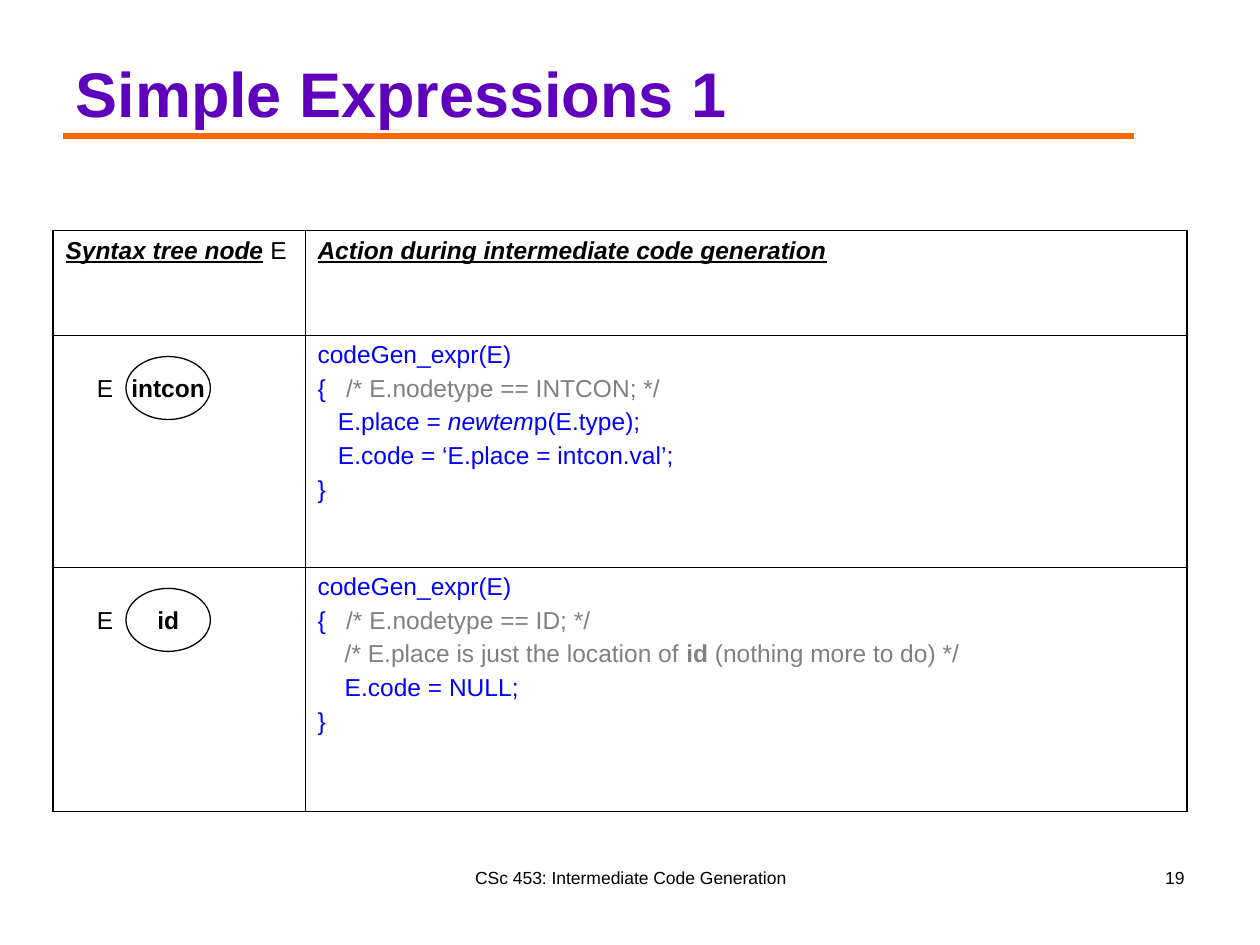
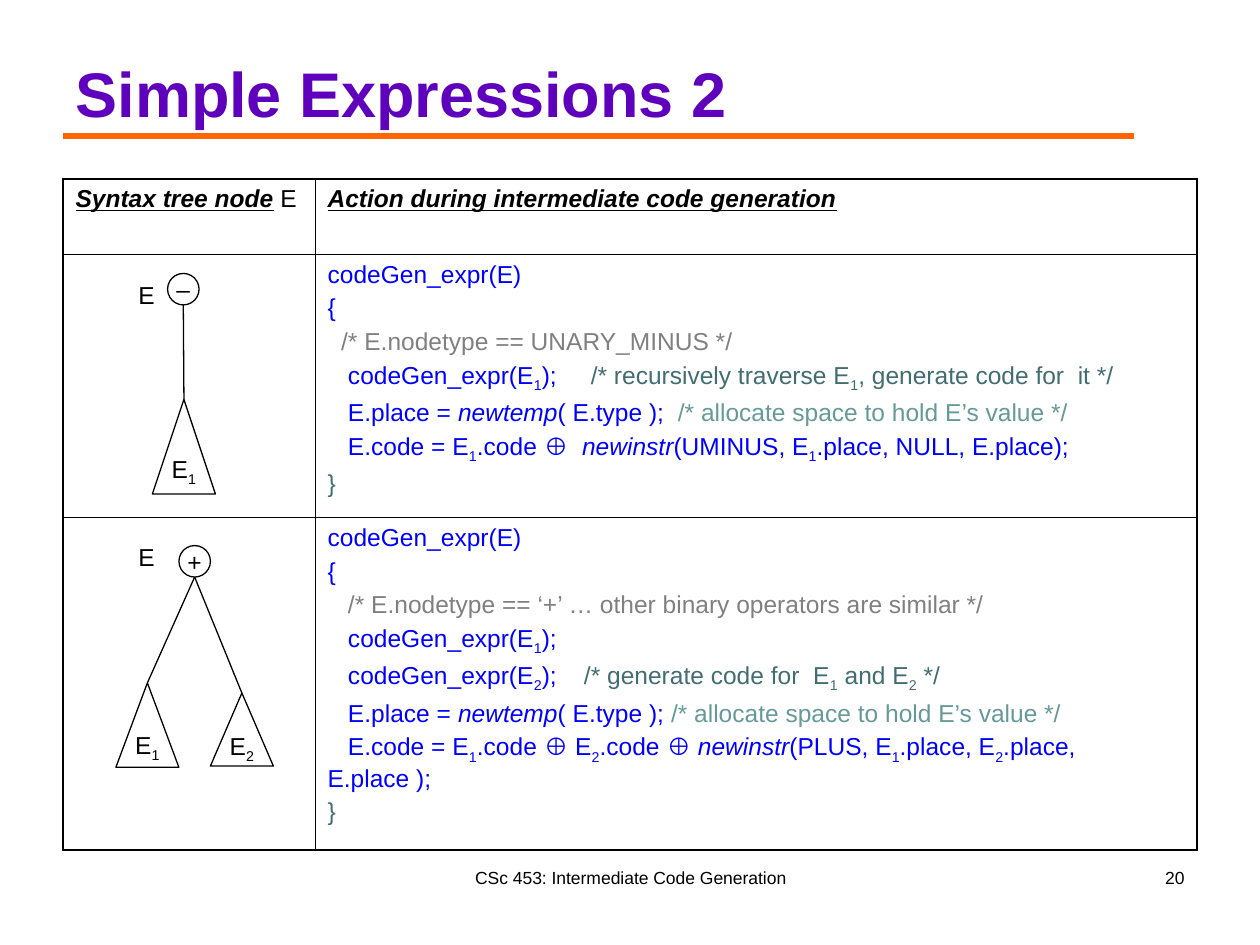
import pptx
import pptx.dml.color
import pptx.enum.shapes
import pptx.enum.text
import pptx.oxml
import pptx.oxml.ns
import pptx.util

Inches = pptx.util.Inches
Pt = pptx.util.Pt
SHAPE = pptx.enum.shapes.MSO_SHAPE
ANCHOR = pptx.enum.text.MSO_ANCHOR
ALIGN = pptx.enum.text.PP_ALIGN

COLOURS = {
    "title": "5E00BC",
    "rule": "FF6600",
    "ink": "000000",
    "code": "0000FF",
    "comment": "808080",
    "traverse": "426D72",
    "allocate": "669999",
}
FONT = "Arial"
FOOTER = "CSc 453: Intermediate Code Generation"
TABLE_COLUMNS = (2, 7)
OUTER_BORDER, INNER_BORDER = 1.08, 0.45
OPERATOR_SIZE = 0.25

# Each mark switches its format on and off inside a string.
MARKS = {
    "|": {"italic": True},
    "^": {"bold": True},
    "`": {"bold": True, "italic": True, "underline": True},
    "~": {"baseline": "-25000"},
}

HEADINGS = ([[("ink", "`Syntax tree node` E")]],
            [[("ink", "`Action during intermediate code generation`")]])
CALL = [("code", "codeGen_expr(E)")]
OPENING = [("code", "{")]
TRAVERSE_FIRST = ("code", "   codeGen_expr(E~1~);")
ALLOCATE = ("allocate", "/* allocate space to hold E’s value */")
CLOSING_CODE = [("code", "}")]
CLOSING_TRAVERSE = [("traverse", "}")]

INTCON_CODE = [
    CALL,
    [("code", "{   "), ("comment", "/* E.nodetype == INTCON; */")],
    [("code", "   E.place = |newtem|p(E.type);")],
    [("code", "   E.code = ‘E.place = intcon.val’;")],
    CLOSING_CODE,
]
ID_CODE = [
    CALL,
    [("code", "{   "), ("comment", "/* E.nodetype == ID; */")],
    [("comment", "    /* E.place is just the location of ^id^ (nothing more to do) */")],
    [("code", "    E.code = NULL;")],
    CLOSING_CODE,
]
UNARY_CODE = [
    CALL,
    OPENING,
    [("comment", "  /* E.nodetype == UNARY_MINUS */")],
    [TRAVERSE_FIRST,
     ("traverse", "     /* recursively traverse E~1~, generate code for  it */")],
    [("code", "   E.place = |newtemp|( E.type );  "), ALLOCATE],
    [("code", "   E.code = E~1~.code ⊕  |newinstr|(UMINUS, E~1~.place, NULL, E.place);")],
    CLOSING_TRAVERSE,
]
BINARY_CODE = [
    CALL,
    OPENING,
    [("comment", "   /* E.nodetype == ‘+’ … other binary operators are similar */")],
    [TRAVERSE_FIRST],
    [("code", "   codeGen_expr(E~2~);"),
     ("traverse", "    /* generate code for  E~1~ and E~2~ */")],
    [("code", "   E.place = |newtemp|( E.type ); "), ALLOCATE],
    [("code", "   E.code = E~1~.code ⊕ E~2~.code ⊕ "
              "|newinstr|(PLUS, E~1~.place, E~2~.place, E.place );")],
    CLOSING_TRAVERSE,
]


def rgb(colour):
    return pptx.dml.color.RGBColor.from_string(COLOURS[colour])


def split_marks(marked):
    """Yield (text, format) pieces of a string that holds MARKS."""
    piece, active = "", {}
    for letter in marked:
        if letter not in MARKS:
            piece += letter
            continue
        if piece:
            yield piece, active
        piece, active = "", {} if active else MARKS[letter]
    if piece:
        yield piece, active


class Deck:
    """Holds the shared style and the current slide."""

    def __init__(self):
        self.presentation = pptx.Presentation()
        self.presentation.slide_width = Inches(10)
        self.presentation.slide_height = Inches(7.5)
        self.slide = None

    def start_slide(self, title, number):
        layout = self.presentation.slide_layouts[5]
        self.slide = self.presentation.slides.add_slide(layout)
        rule = self.line((0.5, 1.08), (9, 1.08), "rule", 3.75)
        self.slide.shapes._spTree.insert(2, rule._element)
        self.title(title)
        self.label((3.42, 6.83, 3.17, 0.5), FOOTER, 10, ALIGN.CENTER)
        self.label((7.17, 6.83, 2.33, 0.5), number, 10, ALIGN.RIGHT)

    def title(self, wording):
        heading = self.slide.shapes.title
        place = dict(zip(("left", "top", "width", "height"),
                         map(Inches, (0.5, 0.13, 9, 0.95))))
        for attribute, value in place.items():
            setattr(heading, attribute, value)
        frame = heading.text_frame
        frame.auto_size = pptx.enum.text.MSO_AUTO_SIZE.NONE
        frame.vertical_anchor = ANCHOR.BOTTOM
        self.fill_text(frame, [[("title", f"^{wording}^")]], 36)

    def fill_text(self, frame, lines, size=14, align=ALIGN.LEFT):
        for index, line in enumerate(lines):
            paragraph = frame.add_paragraph() if index else frame.paragraphs[0]
            paragraph.alignment = align
            paragraph.space_before = Pt(3.5 if index else 0)
            for colour, marked in line:
                for text, style in split_marks(marked):
                    self.add_piece(paragraph, text, colour, size, style)

    def add_piece(self, paragraph, text, colour, size, style):
        piece = paragraph.add_run()
        piece.text = text
        values = {"name": FONT, "size": Pt(size), "bold": False, **style}
        baseline = values.pop("baseline", None)
        for attribute, value in values.items():
            setattr(piece.font, attribute, value)
        piece.font.color.rgb = rgb(colour)
        if baseline:
            piece._r.get_or_add_rPr().set("baseline", baseline)

    def label(self, box, wording, size=14, align=ALIGN.LEFT):
        frame = self.slide.shapes.add_textbox(*map(Inches, box)).text_frame
        frame.word_wrap = True
        self.fill_text(frame, [[("ink", wording)]], size, align)

    def line(self, start, end, colour="ink", width=0.75):
        connector = self.slide.shapes.add_connector(
            pptx.enum.shapes.MSO_CONNECTOR.STRAIGHT, *map(Inches, start + end))
        connector.line.color.rgb = rgb(colour)
        connector.line.width = Pt(width)
        connector._element.spPr.append(pptx.oxml.parse_xml(
            f"<a:effectLst {pptx.oxml.ns.nsdecls('a')}/>"))
        return connector

    def node(self, kind, box, wording):
        outline = self.slide.shapes.add_shape(kind, *map(Inches, box))
        outline.shadow.inherit = False
        outline.fill.background()
        outline.line.color.rgb = rgb("ink")
        outline.line.width = Pt(0.75)
        frame = outline.text_frame
        frame.word_wrap = False
        frame.vertical_anchor = ANCHOR.MIDDLE
        self.fill_text(frame, [[("ink", wording)]], align=ALIGN.CENTER)

    def leaf(self, top, wording):
        self.node(SHAPE.OVAL, (1, top, 0.67, 0.5), f"^{wording}^")
        self.label((0.67, top + 0.08, 0.33, 0.34), "E")

    def tree(self, left, top, operator, label_top, subtrees):
        """Draw an operator node joined to subtrees given as (box, wording)."""
        self.node(SHAPE.OVAL, (left, top, OPERATOR_SIZE, OPERATOR_SIZE), operator)
        self.label((1, label_top, 0.33, 0.34), "E")
        root = (left + OPERATOR_SIZE / 2, top + OPERATOR_SIZE)
        for box, wording in subtrees:
            self.node(SHAPE.ISOSCELES_TRIANGLE, box, wording)
            self.line(root, (box[0] + box[2] / 2, box[1]))

    def table(self, left, top, heights, actions):
        rows = [HEADINGS] + [([], action) for action in actions]
        table = self.slide.shapes.add_table(
            len(rows), len(TABLE_COLUMNS), Inches(left), Inches(top),
            Inches(sum(TABLE_COLUMNS)), Inches(sum(heights))).table
        table.first_row = table.horz_banding = False
        for column, width in zip(table.columns, TABLE_COLUMNS):
            column.width = Inches(width)
        for r, (row, height) in enumerate(zip(rows, heights)):
            table.rows[r].height = Inches(height)
            for c, lines in enumerate(row):
                cell = table.cell(r, c)
                cell.fill.background()
                self.borders(cell, {
                    "lnL": c == 0, "lnR": c == len(row) - 1,
                    "lnT": r == 0, "lnB": r == len(rows) - 1})
                self.fill_text(cell.text_frame, lines)

    def borders(self, cell, outer_sides):
        for position, (side, outer) in enumerate(outer_sides.items()):
            width = Pt(OUTER_BORDER if outer else INNER_BORDER)
            cell._tc.get_or_add_tcPr().insert(position, pptx.oxml.parse_xml(
                f'<a:{side} {pptx.oxml.ns.nsdecls("a")} w="{width}"><a:solidFill>'
                f'<a:srgbClr val="{COLOURS["ink"]}"/></a:solidFill></a:{side}>'))


def main():
    deck = Deck()

    deck.start_slide("Simple Expressions 1", "19")
    deck.table(0.42, 1.83, (0.83, 1.84, 1.94), (INTCON_CODE, ID_CODE))
    deck.leaf(2.83, "intcon")
    deck.leaf(4.67, "id")

    deck.start_slide("Simple Expressions 2", "20")
    deck.table(0.5, 1.42, (0.6, 2.09, 2.41), (UNARY_CODE, BINARY_CODE))
    deck.tree(1.33, 2.17, "–", 2.17, [((1.21, 3.17, 0.5, 0.75), "E~1~")])
    deck.tree(1.42, 4.33, "+", 4.25, [((0.92, 5.42, 0.5, 0.67), "E~1~"),
                                      ((1.67, 5.5, 0.5, 0.58), "E~2~")])

    deck.presentation.save("out.pptx")


if __name__ == "__main__":
    main()
